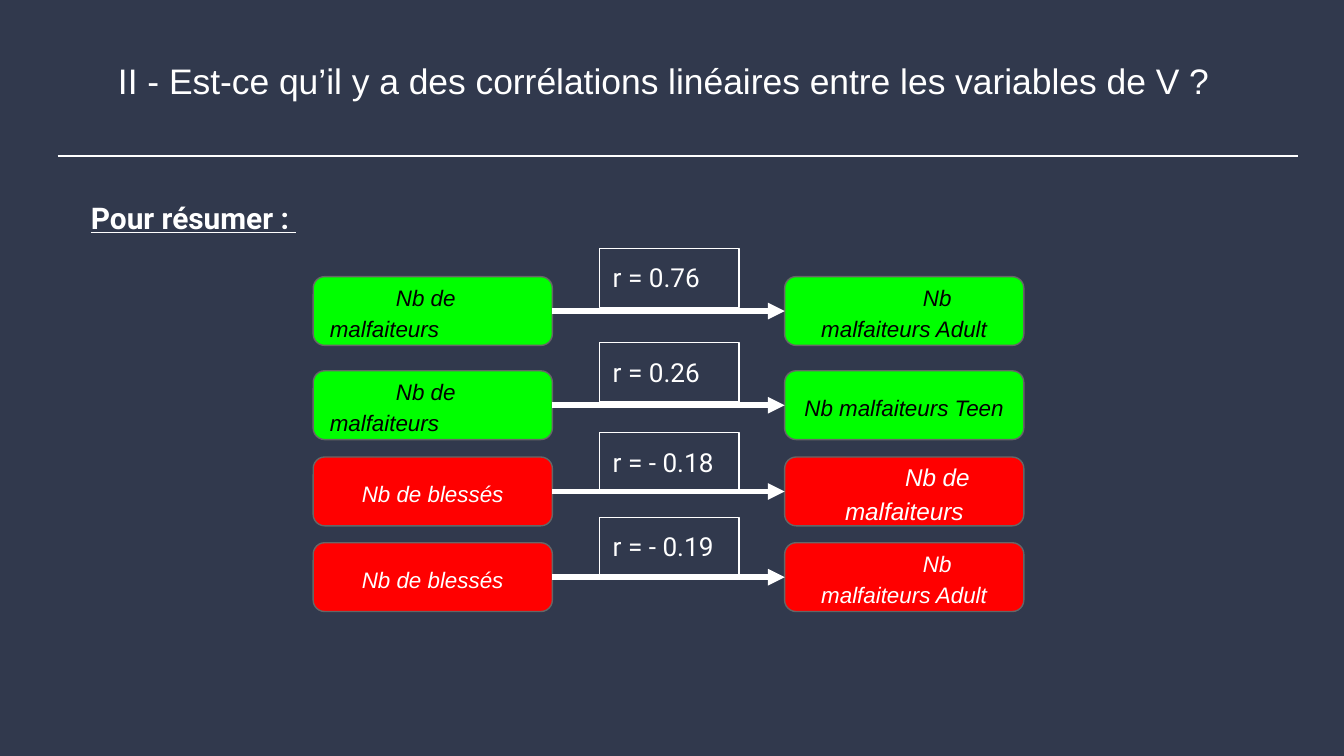
from pptx import Presentation
from pptx.dml.color import RGBColor
from pptx.enum.shapes import MSO_CONNECTOR, MSO_SHAPE
from pptx.enum.text import MSO_ANCHOR, MSO_AUTO_SIZE, PP_ALIGN
from pptx.oxml.ns import qn
from pptx.util import Cm, Pt
from lxml import etree

ROUND, RECT = MSO_SHAPE.ROUNDED_RECTANGLE, MSO_SHAPE.RECTANGLE
LEFT, MID = PP_ALIGN.LEFT, PP_ALIGN.CENTER
WHITE, BLACK, GREY = "FFFFFF", "000000", "666666"
GREEN, RED, NAVY = "00FF00", "FF0000", "31394D"


def color(code):
    return RGBColor.from_string(code)


def write(shape, text, size, face, ink, align=LEFT):
    frame = shape.text_frame
    frame.word_wrap = True
    frame.margin_left = frame.margin_right = Cm(0.25)
    frame.margin_top = frame.margin_bottom = Cm(0.25)
    frame.text = text
    para = frame.paragraphs[0]
    para.alignment = align
    font = para.runs[0].font
    font.size = Pt(size)
    font.name = face
    font.color.rgb = color(ink)
    return para


deck = Presentation()
deck.slide_width, deck.slide_height = Cm(25.4), Cm(14.29)
slide = deck.slides.add_slide(deck.slide_layouts[6])
slide.background.fill.solid()
slide.background.fill.fore_color.rgb = color(NAVY)
shapes = slide.shapes

title = shapes.add_textbox(Cm(0.46), Cm(1.02), Cm(24.36), Cm(1.78))
para = write(title, "II - Est-ce qu’il y a des corrélations linéaires entre les variables de V ? ",
             19, "Arial", WHITE, MID)
para.line_spacing = 0.8

head = shapes.add_textbox(Cm(1.47), Cm(3.53), Cm(8.48), Cm(1.19))
para = write(head, "Pour résumer : ", 16, "Roboto", WHITE)
para.runs[0].font.bold = True
para.runs[0].font.underline = True

crime, hurt = "Nb de malfaiteurs", "Nb de blessés"
adult, teen = "Nb malfaiteurs Adult", "Nb malfaiteurs Teen"
rows = [
    (5.23, 4.7, GREEN, BLACK, "r = 0.76", (crime, LEFT, True, 12), (adult, MID, True, 12)),
    (7.01, 6.48, GREEN, BLACK, "r = 0.26", (crime, LEFT, True, 12), (teen, MID, False, 12)),
    (8.64, 8.18, RED, WHITE, "r = - 0.18", (hurt, MID, False, 12), (crime, MID, True, 13)),
    (10.26, 9.78, RED, WHITE, "r = - 0.19", (hurt, MID, False, 12), (adult, MID, True, 12)),
]
start, end, width, height = 5.92, 14.83, 4.52, 1.3
lines = [(1.09, 24.54, 2.95, 1.5, False)]

for top, high, fill, ink, label, *pair in rows:
    for left, (text, align, indent, size) in zip((start, end), pair):
        box = shapes.add_shape(ROUND, Cm(left), Cm(top), Cm(width), Cm(height))
        box.shadow.inherit = False
        box.fill.solid()
        box.fill.fore_color.rgb = color(fill)
        box.line.color.rgb = color(GREY)
        box.line.width = Pt(0.75)
        para = write(box, text, size, "Arial", ink, align)
        box.text_frame.vertical_anchor = MSO_ANCHOR.MIDDLE
        para.line_spacing = 1.15
        para.runs[0].font.italic = True
        if indent:
            props = para._p.get_or_add_pPr()
            props.set("marL", "0")
            props.set("indent", str(Cm(1.25)))
    lines.append((start + width, end, top + height / 2, 3, True))

    tag = shapes.add_shape(RECT, Cm(11.33), Cm(high), Cm(2.64), Cm(1.12))
    tag.shadow.inherit = False
    tag.fill.background()
    tag.line.color.rgb = color(WHITE)
    tag.line.width = Pt(0.75)
    write(tag, label, 14, "Roboto", WHITE)
    tag.text_frame.vertical_anchor = MSO_ANCHOR.TOP
    tag.text_frame.auto_size = MSO_AUTO_SIZE.SHAPE_TO_FIT_TEXT

for left, right, y, weight, arrow in lines:
    line = shapes.add_connector(MSO_CONNECTOR.STRAIGHT, Cm(left), Cm(y), Cm(right), Cm(y))
    line.line.color.rgb = color(WHITE)
    line.line.width = Pt(weight)
    if arrow:
        tip = etree.SubElement(line.line._get_or_add_ln(), qn("a:tailEnd"))
        tip.set("type", "triangle")
    etree.SubElement(line._element.spPr, qn("a:effectLst"))

deck.save("out.pptx")
